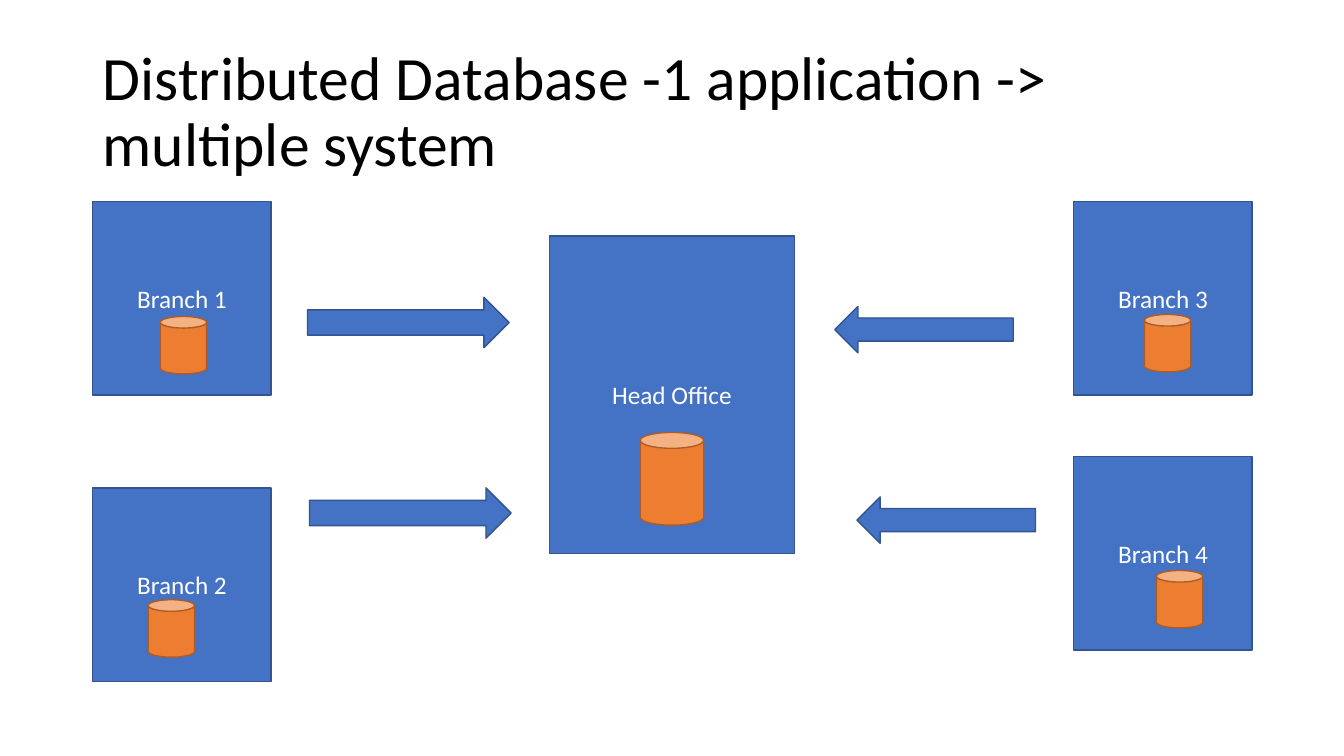
from dataclasses import dataclass

from pptx import Presentation
from pptx.dml.color import RGBColor
from pptx.enum.shapes import MSO_SHAPE
from pptx.enum.text import MSO_ANCHOR, PP_ALIGN
from pptx.util import Inches, Pt

RECT, CAN = MSO_SHAPE.RECTANGLE, MSO_SHAPE.CAN
RIGHT, LEFT = MSO_SHAPE.RIGHT_ARROW, MSO_SHAPE.LEFT_ARROW
MIDDLE, CENTER = MSO_ANCHOR.MIDDLE, PP_ALIGN.CENTER

BLACK = RGBColor(0x00, 0x00, 0x00)
WHITE = RGBColor(0xFF, 0xFF, 0xFF)
BLUE = RGBColor(0x44, 0x72, 0xC4)
NAVY = RGBColor(0x32, 0x54, 0x91)
ORANGE = RGBColor(0xED, 0x7D, 0x31)
BROWN = RGBColor(0xAF, 0x5C, 0x24)
FONT = "Calibri"


@dataclass
class Site:
    """An office with the database cylinder inside it."""
    name: str
    left: float
    top: float
    can_left: float
    can_top: float
    size: tuple[float, float] = (1.77, 1.92)
    can_size: tuple[float, float] = (0.46, 0.57)


@dataclass
class Arrow:
    kind: MSO_SHAPE
    left: float
    top: float
    size: tuple[float, float]


WEST, EAST = 0.92, 10.65
SITES = [
    Site("Head Office", 5.45, 2.34, 6.35, 4.29, (2.43, 3.15), (0.63, 0.92)),
    Site("Branch 1", WEST, 2, 1.59, 3.14),
    Site("Branch 2", WEST, 4.84, 1.47, 5.95),
    Site("Branch 3", EAST, 2, 11.35, 3.12),
    Site("Branch 4", EAST, 4.53, 11.47, 5.66),
]

LONG, SHORT = (2, 0.5), (1.77, 0.46)
ARROWS = [
    Arrow(RIGHT, 3.05, 2.95, LONG),
    Arrow(RIGHT, 3.07, 4.84, LONG),
    Arrow(LEFT, 8.28, 3.04, SHORT),
    Arrow(LEFT, 8.5, 4.93, SHORT),
]


def write(frame, text: str, size: int, color: RGBColor):
    """Fill a text frame with one run and return its paragraph."""
    frame.word_wrap = True
    frame.vertical_anchor = MIDDLE
    para = frame.paragraphs[0]
    run = para.add_run()
    run.text = text
    run.font.name = FONT
    run.font.size = Pt(size)
    run.font.color.rgb = color
    return para


def block(slide, kind: MSO_SHAPE, left: float, top: float,
          size: tuple[float, float], fill: RGBColor, edge: RGBColor):
    """Add a filled preset shape with a thin outline."""
    wide, high = size
    shape = slide.shapes.add_shape(
        kind, Inches(left), Inches(top), Inches(wide), Inches(high))
    shape.shadow.inherit = False
    shape.fill.solid()
    shape.fill.fore_color.rgb = fill
    shape.line.color.rgb = edge
    shape.line.width = Pt(1)
    return shape


def draw_site(slide, site: Site) -> None:
    box = block(slide, RECT, site.left, site.top, site.size, BLUE, NAVY)
    write(box.text_frame, site.name, 18, WHITE).alignment = CENTER
    block(slide, CAN, site.can_left, site.can_top, site.can_size,
          ORANGE, BROWN)


def draw_arrow(slide, arrow: Arrow) -> None:
    block(slide, arrow.kind, arrow.left, arrow.top, arrow.size, BLUE, NAVY)


def main() -> None:
    deck = Presentation()
    deck.slide_width, deck.slide_height = Inches(13.33), Inches(7.5)
    slide = deck.slides.add_slide(deck.slide_layouts[6])

    # Title
    title = slide.shapes.add_textbox(
        Inches(0.92), Inches(0.4), Inches(11.5), Inches(1.45))
    para = write(title.text_frame,
                 "Distributed Database -1 application -> multiple system",
                 44, BLACK)
    para.line_spacing = 0.9

    # Offices and their databases
    for site in SITES:
        draw_site(slide, site)

    # Arrows towards the head office
    for arrow in ARROWS:
        draw_arrow(slide, arrow)

    deck.save("out.pptx")


if __name__ == "__main__":
    main()
